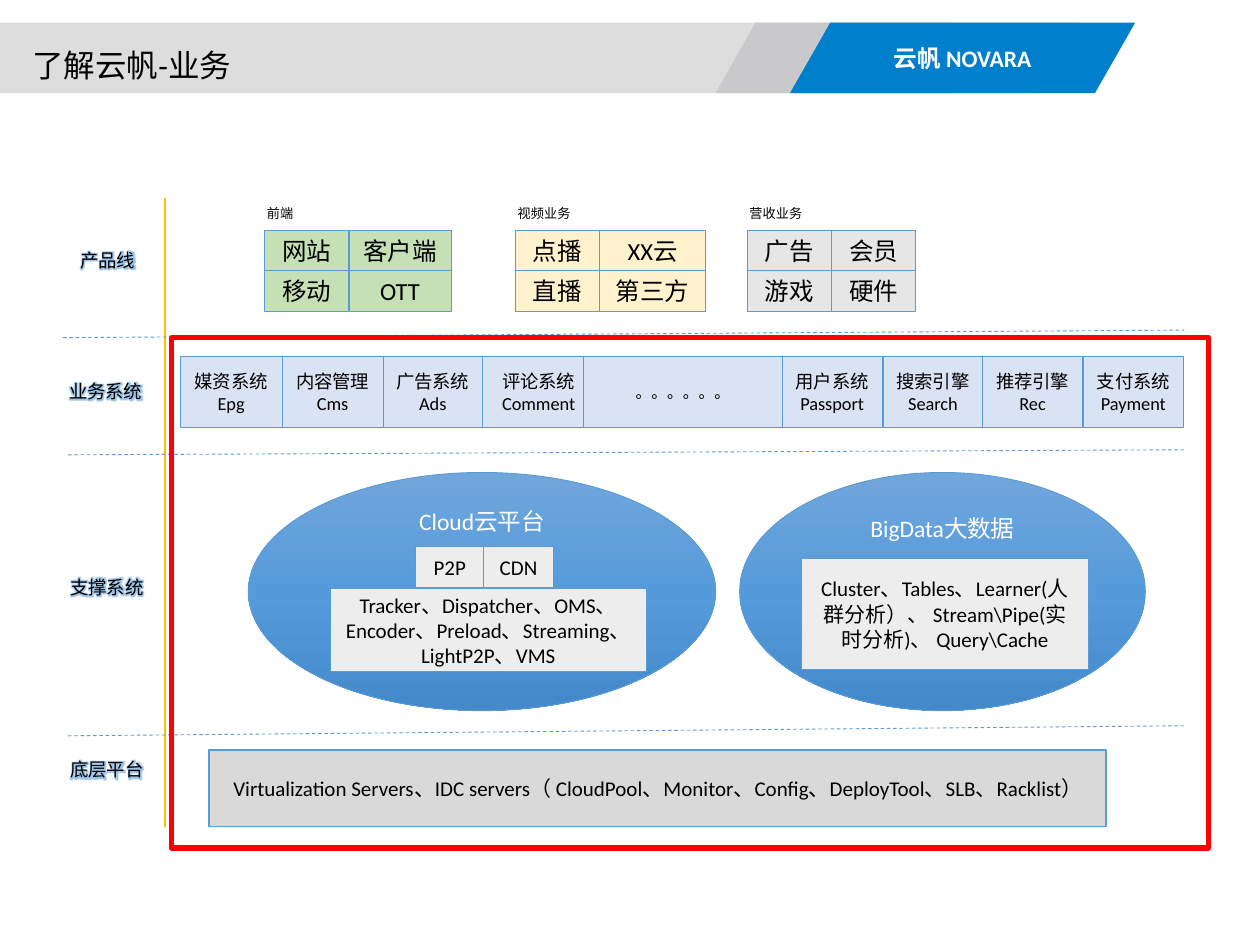
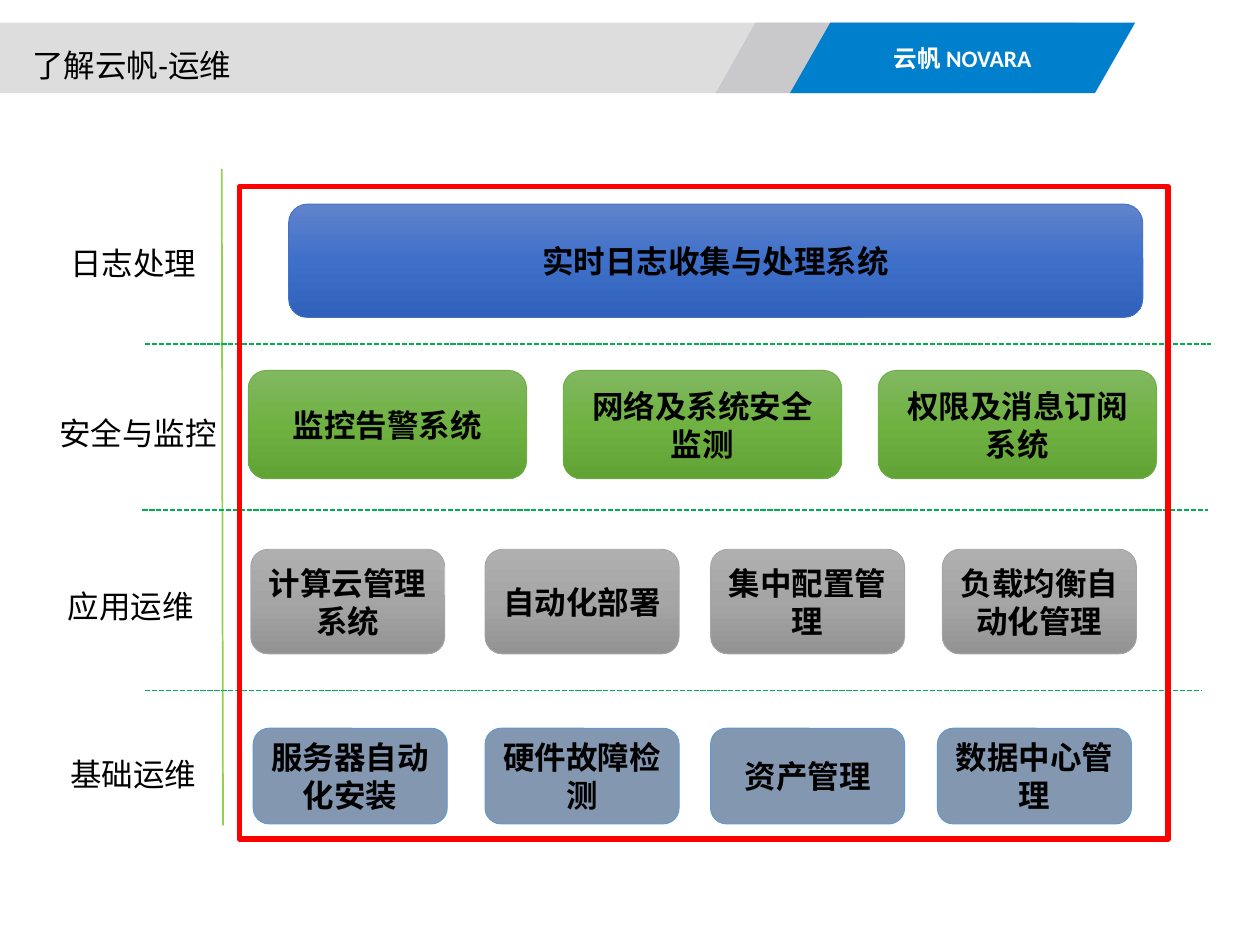
from copy import deepcopy

from lxml import etree
from pptx import Presentation
from pptx.dml.color import RGBColor
from pptx.enum.dml import MSO_LINE
from pptx.enum.shapes import MSO_CONNECTOR, MSO_SHAPE
from pptx.enum.text import MSO_ANCHOR, PP_ALIGN
from pptx.oxml.ns import qn
from pptx.util import Inches, Pt

RECT, ROUND = MSO_SHAPE.RECTANGLE, MSO_SHAPE.ROUNDED_RECTANGLE
OVAL, SLANT = MSO_SHAPE.OVAL, MSO_SHAPE.PARALLELOGRAM
DASH, SYS_DASH = MSO_LINE.DASH, MSO_LINE.SQUARE_DOT
STRAIGHT = MSO_CONNECTOR.STRAIGHT
TOP, MIDDLE = MSO_ANCHOR.TOP, MSO_ANCHOR.MIDDLE
LEFT, CENTER = PP_ALIGN.LEFT, PP_ALIGN.CENTER

BLACK = RGBColor(0x00, 0x00, 0x00)
WHITE = RGBColor(0xFF, 0xFF, 0xFF)
BAND = RGBColor(0xDD, 0xDD, 0xDD)
BAND_DARK = RGBColor(0xC9, 0xC9, 0xCB)
BRAND_BLUE = RGBColor(0x00, 0x7F, 0xCC)
BLUE = RGBColor(0x5B, 0x9B, 0xD5)
RED = RGBColor(0xFF, 0x00, 0x00)
AMBER = RGBColor(0xFF, 0xC0, 0x00)
LIME = RGBColor(0x92, 0xD0, 0x50)
GREEN = RGBColor(0x00, 0xB0, 0x50)
PALE_GREEN = RGBColor(0xC5, 0xE0, 0xB4)
PALE_YELLOW = RGBColor(0xFF, 0xF2, 0xCC)
PALE_GREY = RGBColor(0xE7, 0xE6, 0xE6)
PALE_BLUE = RGBColor(0xDA, 0xE3, 0xF3)
TOOL_GREY = RGBColor(0xED, 0xED, 0xED)
PLATFORM_GREY = RGBColor(0xD9, 0xD9, 0xD9)
SLATE = RGBColor(0x84, 0x97, 0xB0)
GREY_EDGE = RGBColor(0xA5, 0xA5, 0xA5)
GREEN_EDGE = RGBColor(0x70, 0xAD, 0x47)
INDIGO_EDGE = RGBColor(0x44, 0x72, 0xC4)
BLUE_GRADIENT = [RGBColor.from_string(c) for c in ("71A6DB", "559BDB", "448ACA")]
GREY_GRADIENT = [RGBColor.from_string(c) for c in ("AFAFAF", "A5A5A5", "939393")]
GREEN_GRADIENT = [RGBColor.from_string(c) for c in ("81B861", "6FB242", "62A336")]
INDIGO_GRADIENT = [RGBColor.from_string(c) for c in ("6183CB", "3E70CA", "3062BB")]


def add_box(s, kind, box, text="", size=18, fill=None, edge=None, weight=0.5,
            color=BLACK, bold=False, anchor=MIDDLE):
    """Add a preset shape, a text box (kind None) or a polygon (kind a list of points)."""
    if kind is None:
        sp = s.shapes.add_textbox(*map(Inches, box))
        anchor = TOP
    else:
        if isinstance(kind, list):
            points = [(Inches(x), Inches(y)) for x, y in kind]
            builder = s.shapes.build_freeform(*points[0], scale=1.0)
            builder.add_line_segments(points[1:])
            sp = builder.convert_to_shape()
        else:
            sp = s.shapes.add_shape(kind, *map(Inches, box))
        sp.shadow.inherit = False
        if fill is None:
            sp.fill.background()
        elif isinstance(fill, list):
            sp.fill.gradient()
            sp.fill.gradient_angle = 270
            first = sp._element.spPr.find(".//" + qn("a:gs"))
            first.addnext(deepcopy(first))
            for stop, position, stop_color in zip(sp.fill.gradient_stops, (0, 0.5, 1), fill):
                stop.position = position
                stop.color.rgb = stop_color
        else:
            sp.fill.solid()
            sp.fill.fore_color.rgb = fill
        if edge is None:
            sp.line.fill.background()
        else:
            sp.line.color.rgb = edge
            sp.line.width = Pt(weight)
    tf = sp.text_frame
    tf.word_wrap = True
    tf.vertical_anchor = anchor
    for i, words in enumerate(text.split("\n") if text else []):
        p = tf.add_paragraph() if i else tf.paragraphs[0]
        p.alignment = LEFT if kind is None else CENTER
        r = p.add_run()
        r.text = words
        for name, value in {"name": "Calibri", "size": Pt(size), "bold": bold}.items():
            setattr(r.font, name, value)
        r.font.color.rgb = color
    return sp


def add_line(s, x1, y1, x2, y2, color, weight, dash=None):
    line = s.shapes.add_connector(STRAIGHT, *map(Inches, (x1, y1, x2, y2)))
    line.line.color.rgb = color
    line.line.width = Pt(weight)
    if dash:
        line.line.dash_style = dash
    etree.SubElement(line._element.spPr, qn("a:effectLst"))


prs = Presentation()
prs.slide_width, prs.slide_height = Inches(10), Inches(7.5)

# Shared header
slides = []
for title in ("了解云帆-业务", "了解云帆-运维"):
    s = prs.slides.add_slide(prs.slide_layouts[6])
    add_box(s, RECT, (0, 0.18, 7.58, 0.56), fill=BAND)
    sp = add_box(s, SLANT, (5.68, 0.18, 2.87, 0.56), fill=BAND_DARK)
    sp.adjustments[0] = 0.565
    add_box(s, [(6.59, 0.18), (9.01, 0.18), (8.69, 0.74), (6.27, 0.74)], None,
            "云帆 NOVARA", 13.5, BRAND_BLUE, color=WHITE, bold=True)
    add_box(s, None, (0.16, 0.32, 2.33, 0.4), title)
    slides.append(s)
business, operations = slides

# Slide 1: business layers
s = business
add_line(s, 1.31, 1.57, 1.31, 6.56, AMBER, 1)
for x1, y1, x2, y2 in ((0.5, 2.68, 9.4, 2.62), (0.54, 3.61, 9.4, 3.57),
                       (0.54, 5.84, 9.41, 5.76)):
    add_line(s, x1, y1, x2, y2, BLUE, 0.5, DASH)

for x, y, layer in ((0.54, 1.93, "产品线"), (0.45, 2.97, "业务系统"),
                    (0.46, 4.52, "支撑系统"), (0.46, 5.97, "底层平台")):
    sp = add_box(s, None, (x, y, 0.91, 0.28), layer, 10.5)
    solid = sp._element.find(".//" + qn("a:rPr")).find(qn("a:solidFill"))
    effects = etree.Element(qn("a:effectLst"))
    glow = etree.SubElement(effects, qn("a:glow"), rad=str(Inches(0.05)))
    glow_color = etree.SubElement(glow, qn("a:srgbClr"), val=str(BLUE))
    etree.SubElement(glow_color, qn("a:alpha"), val="60000")
    solid.addnext(effects)

product_groups = [
    ("前端", 2.1, 0.81, PALE_GREEN, ("网站", "客户端", "移动", "OTT")),
    ("视频业务", 4.09, 0.84, PALE_YELLOW, ("点播", "XX云", "直播", "第三方")),
    ("营收业务", 5.93, 0.67, PALE_GREY, ("广告", "会员", "游戏", "硬件")),
]
for heading, left, second_width, fill, products in product_groups:
    add_box(s, None, (left - 0.08, 1.58, 1.47, 0.23), heading, 7.5)
    for i, product in enumerate(products):
        row, col = divmod(i, 2)
        width = second_width if col else 0.67
        add_box(s, RECT, (left + 0.67 * col, 1.83 + 0.32 * row, width, 0.32),
                product, 14, fill, BLUE)

systems = [
    (1.43, 0.81, "媒资系统\nEpg"), (2.24, 0.8, "内容管理\nCms"),
    (3.04, 0.79, "广告系统\nAds"), (3.83, 0.89, "评论系统\nComment"),
    (4.63, 1.58, "。。。。。。"), (6.21, 0.79, "用户系统\nPassport"),
    (7.01, 0.79, "搜索引擎\nSearch"), (7.8, 0.79, "推荐引擎\nRec"),
    (8.6, 0.79, "支付系统\nPayment"),
]
for left, width, system in systems:
    add_box(s, RECT, (left, 2.83, width, 0.56), system,
            10.5 if "\n" in system else 9, PALE_BLUE, BLUE)

for left, width, inset, platform in ((1.97, 3.71, 0, "Cloud云平台"),
                                     (5.87, 3.22, 0.05, "BigData大数据")):
    sp = add_box(s, OVAL, (left, 3.75, width, 1.89), platform, 13.5,
                 BLUE_GRADIENT, BLUE, color=WHITE, anchor=TOP)
    sp.text_frame.margin_top = Inches(inset)

tools = [
    ((3.3, 4.34, 0.54, 0.32), "P2P"),
    ((3.84, 4.34, 0.55, 0.32), "CDN"),
    ((2.62, 4.67, 2.51, 0.66),
     "Tracker、Dispatcher、OMS、Encoder、Preload、Streaming、LightP2P、VMS"),
    ((6.36, 4.43, 2.28, 0.88),
     "Cluster、Tables、Learner(人群分析）、 Stream\\Pipe(实时分析)、 Query\\Cache"),
]
for box, tool in tools:
    add_box(s, RECT, box, tool, 12, TOOL_GREY, BLUE)

add_box(s, RECT, (1.66, 5.95, 7.12, 0.61),
        "Virtualization Servers、IDC servers（ CloudPool、Monitor、Config、"
        "DeployTool、SLB、Racklist）", 12, PLATFORM_GREY, BLUE, 1)
add_box(s, RECT, (1.36, 2.68, 8.23, 4.05), edge=RED, weight=3)

# Slide 2: operations layers
s = operations
add_line(s, 1.76, 1.34, 1.77, 6.55, LIME, 1)
for x1, x2, y in ((1.15, 9.61, 2.73), (1.13, 9.59, 4.05), (1.15, 9.54, 5.48)):
    add_line(s, x1, y, x2, y, GREEN, 1, SYS_DASH)

for x, y, layer in ((0.46, 1.89, "日志处理"), (0.37, 3.24, "安全与监控"),
                    (0.44, 4.61, "应用运维"), (0.46, 5.94, "基础运维")):
    add_box(s, None, (x, y, 1.52, 0.4), layer)

layers = [
    (1.62, 6.78, 0.9, INDIGO_GRADIENT, INDIGO_EDGE, [(2.29, "实时日志收集与处理系统")]),
    (2.94, 2.21, 0.86, GREEN_GRADIENT, GREEN_EDGE,
     [(1.97, "监控告警系统"), (4.47, "网络及系统安全监测"), (6.97, "权限及消息订阅系统")]),
    (4.36, 1.54, 0.83, GREY_GRADIENT, GREY_EDGE,
     [(1.99, "计算云管理系统"), (3.85, "自动化部署"),
      (5.64, "集中配置管理"), (7.48, "负载均衡自动化管理")]),
    (5.78, 1.54, 0.76, SLATE, BLUE,
     [(2.01, "服务器自动化安装"), (3.85, "硬件故障检测"),
      (5.64, "资产管理"), (7.44, "数据中心管理")]),
]
for top, width, height, fill, edge, services in layers:
    for left, service in services:
        add_box(s, ROUND, (left, top, width, height), service, 18, fill, edge, bold=True)
add_box(s, RECT, (1.9, 1.48, 7.37, 5.18), edge=RED, weight=3)

prs.save("out.pptx")
